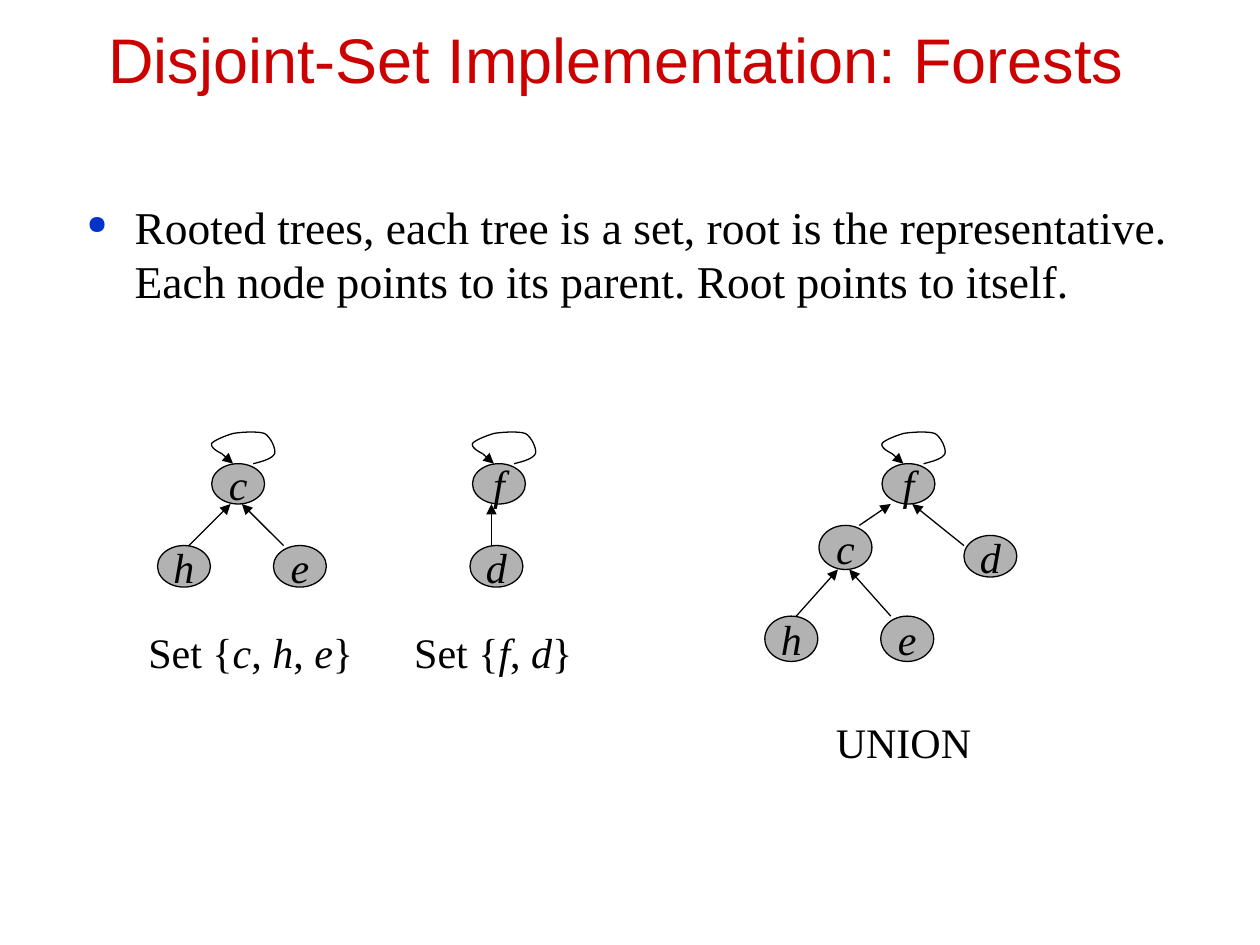
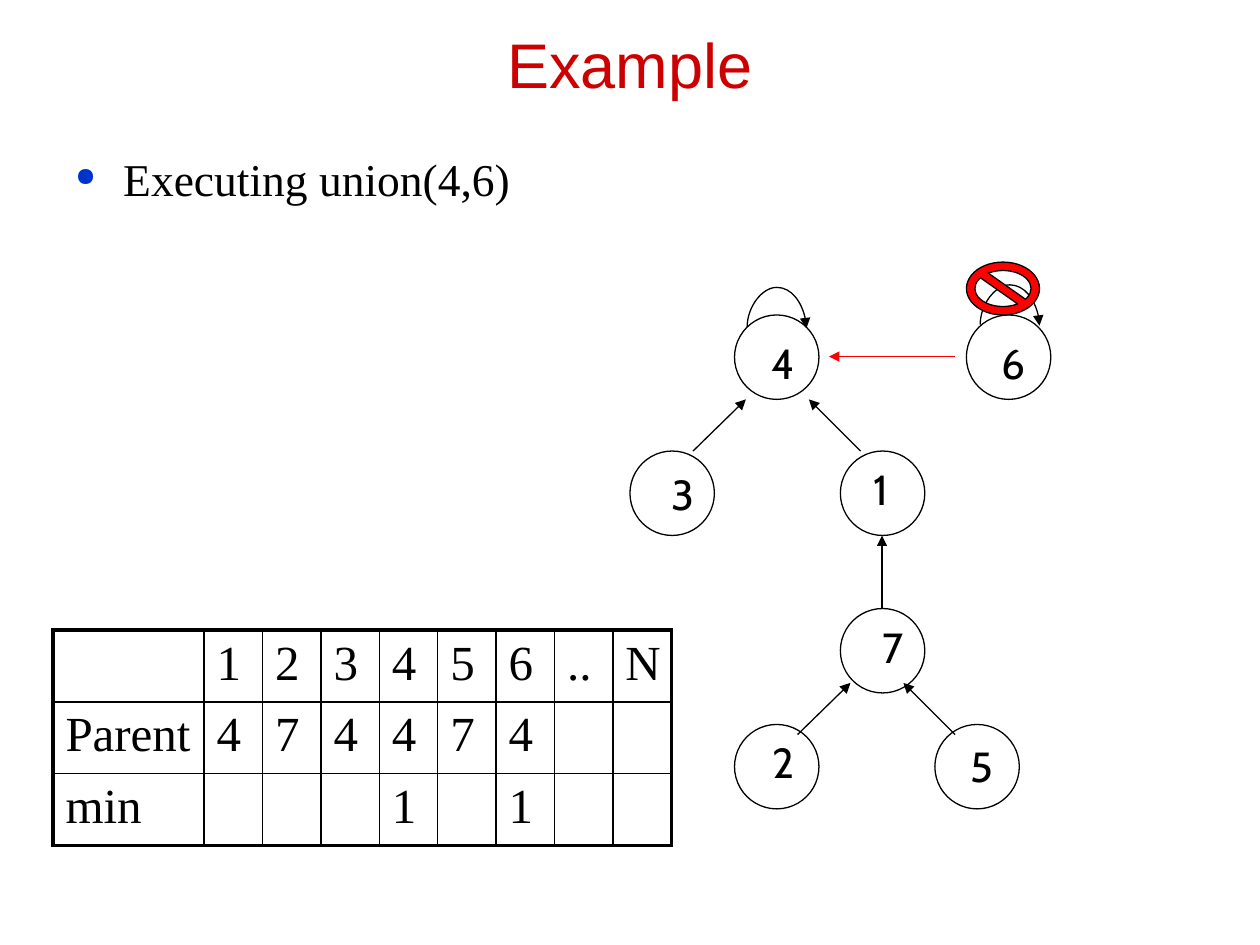
from lxml import etree
from pptx import Presentation
from pptx.dml.color import RGBColor
from pptx.enum import shapes, text
from pptx.oxml import ns
from pptx.util import Inches, Pt

COLORS = {"title": "CC0000", "bullet": "0033CC", "ink": "000000",
          "node": "B2B2B2", "alert": "FF0000"}
SERIF, SANS, DIGITS = "Times New Roman", "Arial", "Cabin"

FOREST = {
    "title": ("Disjoint-Set Implementation: Forests ", (0.51, 0.09, 8.9, 0.75)),
    "body": ("Rooted trees, each tree is a set, root is the representative. "
             "Each node points to its parent. Root points to itself.",
             (0.59, 1.53, 8.89, 1.2)),
    "roots": [("c", 1.68, 3.68), ("f", 3.75, 3.68), ("f", 7, 3.68)],
    "children": [("h", 1.25, 4.33, 0.33), ("e", 2.17, 4.33, 0.33),
                 ("d", 3.73, 4.33, 0.33), ("d", 7.65, 4.25, 0.33),
                 ("c", 6.5, 4.17, 0.35), ("h", 6.07, 4.89, 0.36),
                 ("e", 6.99, 4.89, 0.36)],
    "arrows": [(1.5, 4.33, 1.83, 4), (2.25, 4.33, 1.92, 4), (3.9, 4.33, 3.9, 4),
               (6.32, 4.89, 6.65, 4.52), (7.07, 4.89, 6.74, 4.52),
               (6.82, 4.17, 7.07, 4), (7.65, 4.33, 7.24, 4)],
    "captions": [(["Set {", "c", ", ", "h", ", ", "e", "}"], (1.07, 4.92, 1.84, 0.5)),
                 (["Set {", "f", ", ", "d", "}"], (3.18, 4.92, 1.47, 0.5)),
                 (["UNION"], (6.53, 5.64, 1.28, 0.5))],
}
NODE_WIDTH, ROOT_HEIGHT = 0.42, 0.32
LOOP_START = (0.33, 0)
LOOP_CURVES = [
    ((0.41, -0.02), (0.48, -0.04), (0.5, -0.08)),
    ((0.51, -0.12), (0.47, -0.21), (0.42, -0.24)),
    ((0.36, -0.26), (0.23, -0.25), (0.17, -0.24)),
    ((0.1, -0.22), (0.01, -0.18), (0, -0.16)),
    ((-0.01, -0.13), (0.04, -0.1), (0.08, -0.08)),
]
LOOP_TIP = (0.17, 0)

EXAMPLE = {
    "title": ("Example", (0.5, 0.25, 9, 0.51)),
    "body": ("Executing union(4,6)", (0.5, 1.15, 9, 4.75)),
    "nodes": [("4", 5.83, 2.5, (6, 2.63, 0.43, 0.5)),
              ("3", 5, 3.58, (5.23, 3.67, 0.37, 0.5)),
              ("7", 6.67, 4.83, (6.83, 4.88, 0.52, 0.5)),
              ("6", 7.67, 2.5, (7.83, 2.63, 0.43, 0.5)),
              ("1", 6.67, 3.58, (6.83, 3.63, 0.33, 0.5)),
              ("2", 5.83, 5.75, (6, 5.8, 0.43, 0.5)),
              ("5", 7.42, 5.75, (7.58, 5.83, 0.43, 0.5))],
    "arrows": [(7.58, 5.83, 7.17, 5.42), (6.83, 3.58, 6.42, 3.17),
               (7, 4.83, 7, 4.25), (6.33, 5.83, 6.75, 5.42),
               (5.5, 3.58, 5.92, 3.17)],
    "self_arrows": [(5.93, 2.6), (7.78, 2.58)],
    "union_arrow": (7.58, 2.83, 6.58, 2.83),
    "no_sign": (7.67, 2.08, 0.58, 0.42),
}
CIRCLE = 0.67
TABLE = [["", "1", "2", "3", "4", "5", "6", "..", "N"],
         ["Parent", "4", "7", "4", "4", "7", "4", "", ""],
         ["min", "", "", "", "1", "", "1", "", ""]]
TABLE_BOX = (0.42, 5, 4.91, 1.71)
LABEL_COLUMN, ROW_HEIGHT = 1.2, 0.57


def rgb(name):
    return RGBColor.from_string(COLORS[name])


def inches(values):
    return [Inches(value) for value in values]


def set_font(font, name, size, color="ink"):
    font.name, font.size, font.color.rgb = name, Pt(size), rgb(color)


def outline(shape, color="ink"):
    shape.line.color.rgb = rgb(color)
    shape.line.width = Pt(0.75)


def start_slide(presentation, content):
    slide = presentation.slides.add_slide(presentation.slide_layouts[5])
    title, box = content["title"]
    placeholder = slide.shapes.title
    placeholder.left, placeholder.top, placeholder.width, placeholder.height = inches(box)
    frame = placeholder.text_frame
    frame.text = title
    frame.auto_size = text.MSO_AUTO_SIZE.NONE
    frame.vertical_anchor = text.MSO_ANCHOR.MIDDLE
    frame.paragraphs[0].alignment = text.PP_ALIGN.CENTER
    set_font(frame.paragraphs[0].font, SANS, 36, "title")

    body, box = content["body"]
    frame = slide.shapes.add_textbox(*inches(box)).text_frame
    frame.word_wrap = True
    paragraph = frame.paragraphs[0]
    paragraph.text = body
    paragraph.space_before = Pt(5)
    set_font(paragraph.font, SERIF, 26)
    add_bullet(paragraph)
    return slide


def add_bullet(paragraph):
    properties = paragraph._p.get_or_add_pPr()
    properties.set("marL", str(Inches(0.38)))
    properties.set("indent", str(-Inches(0.38)))
    bullet = [etree.Element(ns.qn(tag)) for tag in ("a:buClr", "a:buSzPct", "a:buChar")]
    etree.SubElement(bullet[0], ns.qn("a:srgbClr")).set("val", COLORS["bullet"])
    bullet[1].set("val", "57000")
    bullet[2].set("char", "●")
    position = list(properties).index(properties.find(ns.qn("a:defRPr")))
    properties[position:position] = bullet


def write_centered(frame, pieces, font_name, italic=lambda piece: False):
    frame.word_wrap = False
    paragraph = frame.paragraphs[0]
    paragraph.alignment = text.PP_ALIGN.CENTER
    set_font(paragraph.font, font_name, 24)
    for piece in pieces:
        run = paragraph.add_run()
        run.text = piece
        if italic(piece):
            run.font.italic = True


def is_node_name(piece):
    return len(piece) == 1 and piece.isalpha()


def add_preset(slide, kind, box, fill=None):
    shape = slide.shapes.add_shape(kind, *inches(box))
    shape.shadow.inherit = False
    outline(shape)
    if fill:
        shape.fill.solid()
        shape.fill.fore_color.rgb = rgb(fill)
    else:
        shape.fill.background()
    return shape


def add_arrow(slide, ends, color="ink", kind=shapes.MSO_CONNECTOR.STRAIGHT):
    arrow = slide.shapes.add_connector(kind, *inches(ends))
    outline(arrow, color)
    line = arrow.line._get_or_add_ln()
    etree.SubElement(line, ns.qn("a:tailEnd")).set("type", "triangle")
    etree.SubElement(arrow._element.spPr, ns.qn("a:effectLst"))
    return arrow


def add_self_arrow(slide, left, level, span=0.47, rise=0.32, depth=0.01):
    center = left + span / 2
    ends = (center - depth / 2, level + span / 2, center + depth / 2, level - span / 2)
    arrow = add_arrow(slide, ends, kind=shapes.MSO_CONNECTOR.CURVE)
    properties = arrow._element.spPr
    properties.find(ns.qn("a:xfrm")).set("rot", "5400000")
    guides = properties.find(ns.qn("a:prstGeom")).find(ns.qn("a:avLst"))
    guide = etree.SubElement(guides, ns.qn("a:gd"))
    guide.set("name", "adj1")
    guide.set("fmla", f"val {round(-rise / depth * 100000)}")


def curve_points(start, curves, steps=8):
    for first, second, end in curves:
        for step in range(1, steps + 1):
            t = step / steps
            yield tuple((1 - t) ** 3 * a + 3 * (1 - t) ** 2 * t * b
                        + 3 * (1 - t) * t ** 2 * c + t ** 3 * d
                        for a, b, c, d in zip(start, first, second, end))
        start = end


def add_root_loop(slide, left, top):
    def place(point):
        return left + point[0], top + point[1]

    points = [place(point) for point in curve_points(LOOP_START, LOOP_CURVES)]
    builder = slide.shapes.build_freeform(*inches(place(LOOP_START)))
    builder.add_line_segments([inches(point) for point in points], close=False)
    loop = builder.convert_to_shape()
    loop.shadow.inherit = False
    loop.fill.background()
    outline(loop)
    add_arrow(slide, points[-1] + place(LOOP_TIP))


def add_tree_node(slide, name, left, top, height):
    node = add_preset(slide, shapes.MSO_SHAPE.OVAL, (left, top, NODE_WIDTH, height), "node")
    node.text_frame.vertical_anchor = text.MSO_ANCHOR.MIDDLE
    write_centered(node.text_frame, [name], SERIF, is_node_name)


def set_border(cell, side, width):
    line = etree.SubElement(cell._tc.get_or_add_tcPr(), ns.qn(f"a:ln{side}"))
    line.set("w", str(Pt(width)))
    fill = etree.SubElement(line, ns.qn("a:solidFill"))
    etree.SubElement(fill, ns.qn("a:srgbClr")).set("val", COLORS["ink"])


def add_parent_table(slide):
    rows, columns = len(TABLE), len(TABLE[0])
    table = slide.shapes.add_table(rows, columns, *inches(TABLE_BOX)).table
    table.first_row = table.horz_banding = False
    value_column = (TABLE_BOX[2] - LABEL_COLUMN) / (columns - 1)
    for index, column in enumerate(table.columns):
        column.width = Inches(value_column if index else LABEL_COLUMN)
    for r, values in enumerate(TABLE):
        table.rows[r].height = Inches(ROW_HEIGHT)
        for c, value in enumerate(values):
            cell = table.cell(r, c)
            cell.text = value
            set_font(cell.text_frame.paragraphs[0].font, SERIF, 28)
            outer = {"L": c == 0, "R": c == columns - 1, "T": r == 0, "B": r == rows - 1}
            for side, is_outer in outer.items():
                set_border(cell, side, 2.25 if is_outer else 1)
            cell.fill.background()


def build_forest(presentation):
    slide = start_slide(presentation, FOREST)
    for name, left, top in FOREST["roots"]:
        add_tree_node(slide, name, left, top, ROOT_HEIGHT)
        add_root_loop(slide, left, top)
    for child in FOREST["children"]:
        add_tree_node(slide, *child)
    for ends in FOREST["arrows"]:
        add_arrow(slide, ends)
    for pieces, box in FOREST["captions"]:
        frame = slide.shapes.add_textbox(*inches(box)).text_frame
        write_centered(frame, pieces, SERIF, is_node_name)


def build_example(presentation):
    slide = start_slide(presentation, EXAMPLE)
    for digit, left, top, label_box in EXAMPLE["nodes"]:
        add_preset(slide, shapes.MSO_SHAPE.OVAL, (left, top, CIRCLE, CIRCLE))
        label = slide.shapes.add_textbox(*inches(label_box))
        write_centered(label.text_frame, [digit], DIGITS)
    for ends in EXAMPLE["arrows"]:
        add_arrow(slide, ends)
    for left, level in EXAMPLE["self_arrows"]:
        add_self_arrow(slide, left, level)
    add_parent_table(slide)
    sign = add_preset(slide, shapes.MSO_SHAPE.NO_SYMBOL, EXAMPLE["no_sign"], "alert")
    sign.adjustments[0] = 0.16
    add_arrow(slide, EXAMPLE["union_arrow"], "alert")


def main():
    presentation = Presentation()
    presentation.slide_width, presentation.slide_height = Inches(10), Inches(7.5)
    build_forest(presentation)
    build_example(presentation)
    presentation.save("out.pptx")


if __name__ == "__main__":
    main()
